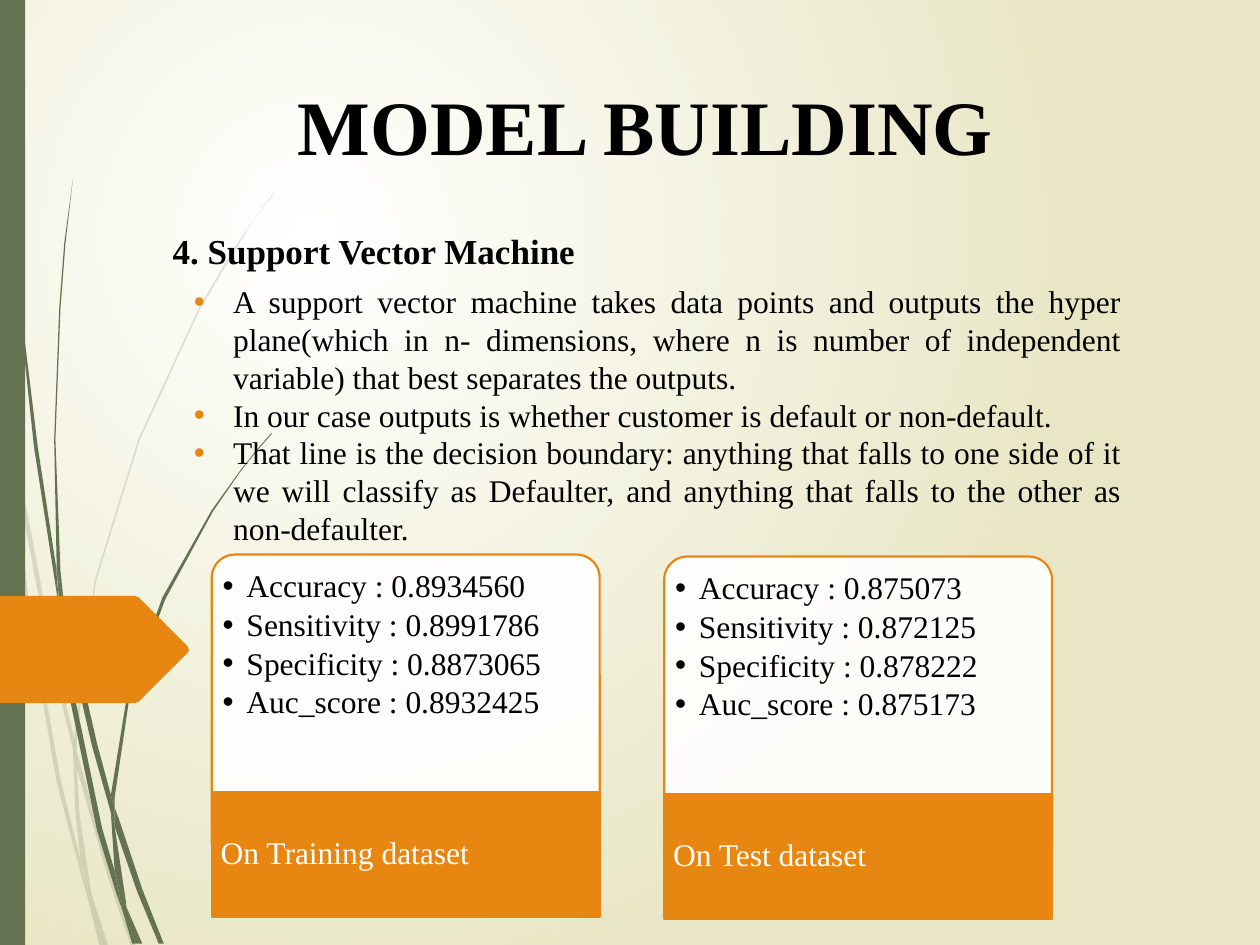
from dataclasses import dataclass, field

from lxml import etree
from pptx import Presentation
from pptx.dml.color import RGBColor
from pptx.enum.shapes import MSO_SHAPE
from pptx.enum.text import MSO_ANCHOR, MSO_AUTO_SIZE, PP_ALIGN
from pptx.oxml.ns import qn
from pptx.util import Cm, Length, Pt

RECTANGLE = MSO_SHAPE.RECTANGLE
ROUND_TOP = MSO_SHAPE.ROUND_2_SAME_RECTANGLE
TOP, MIDDLE, BOTTOM = MSO_ANCHOR.TOP, MSO_ANCHOR.MIDDLE, MSO_ANCHOR.BOTTOM
LEFT, CENTER, JUSTIFY = PP_ALIGN.LEFT, PP_ALIGN.CENTER, PP_ALIGN.JUSTIFY
GROW = MSO_AUTO_SIZE.SHAPE_TO_FIT_TEXT
OUTLINE_UNIT = Cm(0.0254)


@dataclass(frozen=True)
class Theme:
    font: str = "Times New Roman"
    black: RGBColor = RGBColor(0x00, 0x00, 0x00)
    white: RGBColor = RGBColor(0xFF, 0xFF, 0xFF)
    cream: RGBColor = RGBColor(0xE8, 0xE6, 0xC4)
    green: RGBColor = RGBColor(0x64, 0x72, 0x52)
    orange: RGBColor = RGBColor(0xE7, 0x87, 0x12)
    title: Length = Pt(44)
    heading: Length = Pt(20)
    body: Length = Pt(18)
    border: Length = Pt(1.25)


THEME = Theme()


@dataclass(frozen=True)
class Box:
    left: float
    top: float
    width: float
    height: float

    def lengths(self) -> tuple[Length, ...]:
        return Cm(self.left), Cm(self.top), Cm(self.width), Cm(self.height)


@dataclass(frozen=True)
class TextStyle:
    size: Length = THEME.body
    color: RGBColor = THEME.black
    bold: bool = False
    align: PP_ALIGN = LEFT
    anchor: MSO_ANCHOR = TOP
    insets: tuple[float, float, float, float] = (0.25, 0.13, 0.25, 0.13)
    grow: bool = False
    level: int = 0
    indent: float = 0
    bullet: bool = False
    bullet_color: RGBColor = THEME.black
    line_spacing: float = 1
    before: Length = field(default=Pt(0))
    after: Length = field(default=Pt(0))


@dataclass(frozen=True)
class ResultCard:
    left: float
    top: float
    dataset: str
    scores: tuple[str, str, str, str]


TITLE = TextStyle(THEME.title, bold=True, align=CENTER, anchor=BOTTOM)
HEADING = TextStyle(THEME.heading, bold=True, grow=True, level=1, indent=1.27,
                    line_spacing=0.8, before=Pt(3))
BODY = TextStyle(align=JUSTIFY, grow=True, indent=0.79, bullet=True, bullet_color=THEME.orange)
SCORES = TextStyle(align=JUSTIFY, insets=(0.08, 0.18, 0.08, 0.08), level=1, indent=0.48,
                   bullet=True, line_spacing=0.9, after=Pt(2.7))
DATASET = TextStyle(color=THEME.white, anchor=MIDDLE, insets=(0.18, 0, 0.08, 0),
                    line_spacing=0.9)

POINTS = (
    "A support vector machine takes data points and outputs the hyper plane(which in n- "
    "dimensions, where n is number of independent variable) that best separates the outputs.",
    "In our case outputs is whether customer is default or non-default.",
    "That line is the decision boundary: anything that falls to one side of it we will classify "
    "as Defaulter, and anything that falls to the other as non-defaulter.",
)
METRICS = ("Accuracy", "Sensitivity", "Specificity", "Auc_score")
CARDS = (
    ResultCard(4.27, 11.18, "On Training dataset",
               ("0.8934560", "0.8991786", "0.8873065", "0.8932425")),
    ResultCard(13.39, 11.22, "On Test dataset",
               ("0.875073", "0.872125", "0.878222", "0.875173")),
)

Outline = tuple[tuple[int, int], ...]
PALE_GRASS: tuple[Outline, ...] = (
    ((8, 350), (6, 322), (0, 282), (0, 299), (7, 344)),
    ((40, 522), (59, 599), (59, 586), (43, 520), (10, 345), (12, 376)),
    ((64, 607), (61, 596), (61, 610), (85, 694), (104, 751), (108, 751), (88, 692)),
    ((83, 751), (86, 751), (73, 711)),
    ((64, 683), (48, 619), (22, 469), (12, 376), (8, 350), (19, 470), (45, 621), (64, 693),
     (70, 714), (69, 707)),
    ((58, 599), (60, 646), (64, 683), (67, 692), (73, 711), (72, 706), (63, 646), (61, 610),
     (61, 608)),
    ((61, 584), (76, 462), (111, 349), (159, 245), (187, 198), (201, 175), (217, 154),
     (217, 153), (201, 175), (186, 197), (158, 244), (110, 348), (75, 461), (59, 584),
     (59, 586), (61, 596)),
    ((70, 714), (79, 751), (82, 751)),
    ((61, 608), (61, 610), (61, 596), (59, 586), (58, 599)),
    ((67, 692), (65, 683), (69, 707), (70, 714), (82, 751), (83, 751), (73, 711)),
)
DARK_GRASS: tuple[Outline, ...] = (
    ((5, 110), (14, 233), (27, 355), (46, 477), (47, 481), (45, 457), (45, 453), (30, 355),
     (15, 232), (6, 109), (4, 48), (3, 0), (2, 0), (3, 48)),
    ((73, 592), (88, 645), (88, 633), (88, 631), (77, 590), (50, 472), (53, 505)),
    ((94, 649), (91, 641), (91, 656), (109, 708), (126, 749), (130, 749), (113, 706)),
    ((91, 691), (81, 657), (60, 556), (53, 505), (47, 477), (56, 557), (77, 659), (92, 708),
     (97, 722), (96, 717)),
    ((50, 472), (48, 453), (44, 349), (48, 245), (52, 193), (58, 141), (51, 193), (47, 245),
     (43, 349), (45, 449), (49, 472)),
    ((110, 749), (113, 749), (100, 719)),
    ((47, 477), (53, 505), (50, 472), (49, 472), (45, 449), (45, 453)),
    ((91, 633), (103, 552), (131, 476), (169, 406), (191, 374), (203, 359), (216, 344),
     (215, 344), (203, 358), (191, 373), (168, 405), (129, 474), (101, 551), (88, 631),
     (91, 641)),
    ((97, 722), (105, 749), (108, 749)),
    ((88, 645), (91, 691), (96, 706), (100, 719), (100, 716), (91, 656), (90, 651)),
    ((88, 645), (90, 651), (91, 656), (91, 641), (88, 631), (88, 633)),
    ((96, 706), (91, 691), (96, 717), (97, 722), (108, 749), (110, 749), (100, 719)),
)
PAGE_TAG: Outline = ((107, 558), (110, 557), (149, 518), (150, 516), (149, 513), (110, 474),
                     (107, 473), (-3, 473), (-3, 558))


def paint(shape, fill: RGBColor, opacity: int = 100, border: RGBColor | None = None) -> None:
    shape.shadow.inherit = False
    shape.fill.solid()
    shape.fill.fore_color.rgb = fill
    if opacity < 100:
        color = shape.fill._xPr.find(qn("a:solidFill"))[0]
        etree.SubElement(color, qn("a:alpha"), val=str(opacity * 1000))
    if border is None:
        shape.line.fill.background()
    else:
        shape.line.color.rgb = border
        shape.line.width = THEME.border


def draw_outline(slide, outline: Outline, fill: RGBColor, opacity: int = 100) -> None:
    builder = slide.shapes.build_freeform(*outline[0], scale=OUTLINE_UNIT)
    builder.add_line_segments(outline[1:], close=True)
    paint(builder.convert_to_shape(), fill, opacity)


def set_indent(paragraph, style: TextStyle) -> None:
    properties = paragraph._p.get_or_add_pPr()
    properties.set("marL", str(Cm(style.indent)))
    properties.set("indent", str(-Cm(style.indent) if style.bullet else 0))
    if style.bullet:
        color = etree.SubElement(properties, qn("a:buClr"))
        etree.SubElement(color, qn("a:srgbClr"), val=str(style.bullet_color))
        etree.SubElement(properties, qn("a:buFont"), typeface="Arial")
        etree.SubElement(properties, qn("a:buChar"), char="•")


def add_text(slide, box: Box, lines: tuple[str, ...], style: TextStyle) -> None:
    frame = slide.shapes.add_textbox(*box.lengths()).text_frame
    frame.text = "\n".join(lines)
    frame.word_wrap = True
    frame.vertical_anchor = style.anchor
    if style.grow:
        frame.auto_size = GROW
    (frame.margin_left, frame.margin_top,
     frame.margin_right, frame.margin_bottom) = map(Cm, style.insets)
    for paragraph in frame.paragraphs:
        paragraph.alignment = style.align
        paragraph.level = style.level
        paragraph.line_spacing = style.line_spacing
        paragraph.space_before = style.before
        paragraph.space_after = style.after
        set_indent(paragraph, style)
        for run in paragraph.runs:
            run.font.name = THEME.font
            run.font.size = style.size
            run.font.bold = style.bold
            run.font.color.rgb = style.color


def draw_card(slide, card: ResultCard) -> None:
    panel = slide.shapes.add_shape(ROUND_TOP, *Box(card.left, card.top, 7.82, 5.84).lengths())
    panel.adjustments[0] = 0.08
    panel.adjustments[1] = 0
    paint(panel, THEME.white, 90, THEME.orange)
    scores = tuple(f"{metric} : {score}" for metric, score in zip(METRICS, card.scores))
    add_text(slide, Box(card.left + 0.14, card.top + 0.14, 7.54, 5.69), scores, SCORES)
    footer_top = card.top + 4.79
    footer = slide.shapes.add_shape(RECTANGLE, *Box(card.left, footer_top, 7.82, 2.51).lengths())
    paint(footer, THEME.orange, border=THEME.orange)
    add_text(slide, Box(card.left, footer_top, 5.51, 2.51), (card.dataset,), DATASET)


def set_background(slide) -> None:
    fill = slide.background.fill
    fill.gradient()
    for stop, color in zip(fill.gradient_stops, (THEME.white, THEME.cream)):
        stop.color.rgb = color
    gradient = slide._element.find(".//" + qn("a:gradFill"))
    gradient.remove(gradient.find(qn("a:lin")))
    glow = etree.SubElement(gradient, qn("a:path"), {"path": "circle"})
    etree.SubElement(glow, qn("a:fillToRect"), l="50000", t="50000", r="100000", b="100000")


def main() -> None:
    deck = Presentation()
    deck.slide_width, deck.slide_height = Cm(25.4), Cm(19.05)
    slide = deck.slides.add_slide(deck.slide_layouts[6])
    set_background(slide)
    for blade in PALE_GRASS:
        draw_outline(slide, blade, THEME.green, 20)
    for blade in DARK_GRASS:
        draw_outline(slide, blade, THEME.green)
    side_bar = slide.shapes.add_shape(RECTANGLE, *Box(0, 0, 0.51, 19.05).lengths())
    paint(side_bar, THEME.green)
    draw_outline(slide, PAGE_TAG, THEME.orange)
    add_text(slide, Box(2.54, 0.89, 20.96, 2.69), ("MODEL BUILDING",), TITLE)
    add_text(slide, Box(1.96, 4.67, 15.09, 0.94), ("4. Support Vector Machine",), HEADING)
    add_text(slide, Box(3.66, 5.56, 19.2, 6.4), POINTS, BODY)
    for card in CARDS:
        draw_card(slide, card)
    deck.save("out.pptx")


if __name__ == "__main__":
    main()
